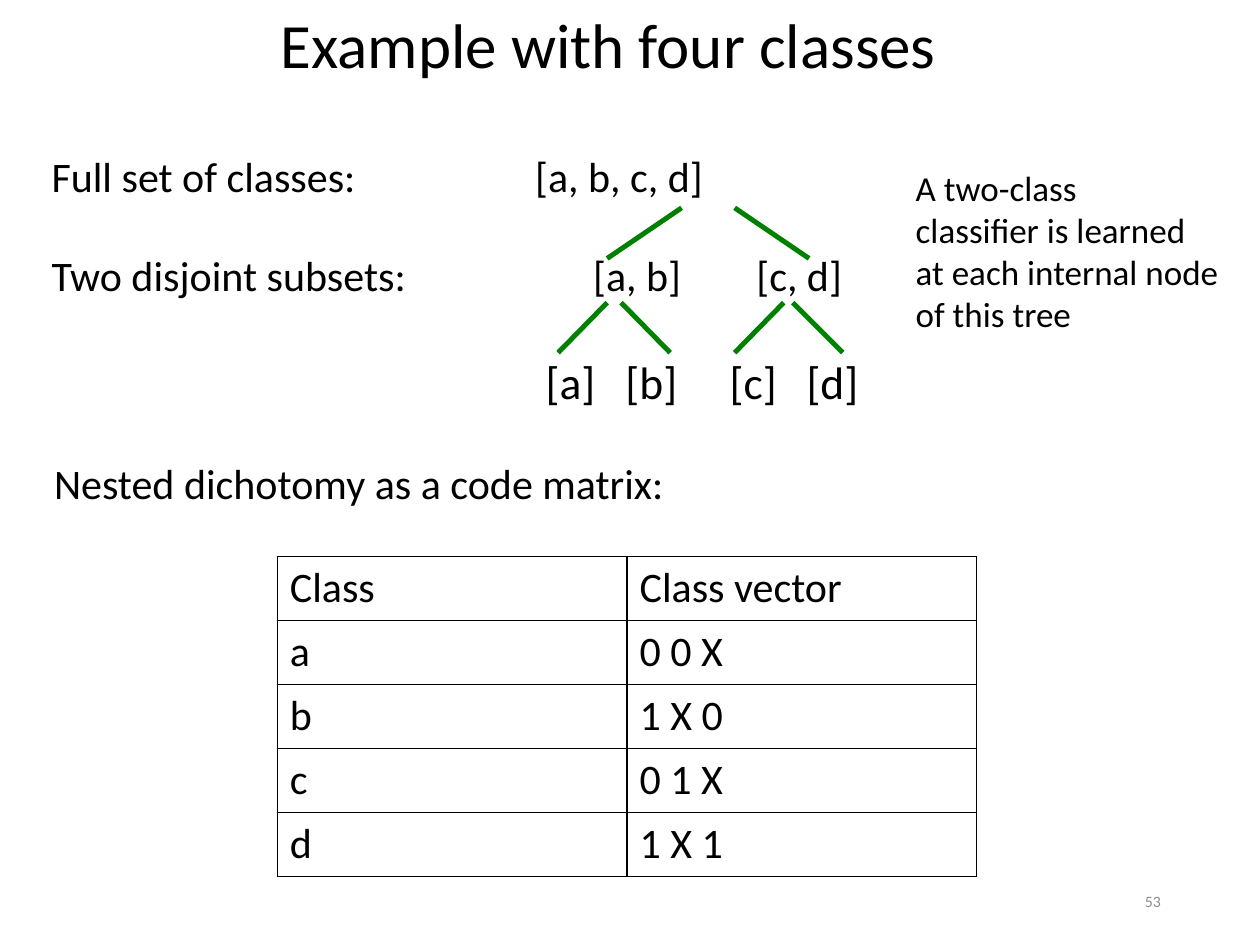
from lxml.etree import SubElement
from pptx import Presentation
from pptx.dml.color import RGBColor
from pptx.enum.shapes import MSO_CONNECTOR
from pptx.enum.text import MSO_ANCHOR, PP_ALIGN
from pptx.oxml.ns import qn
from pptx.util import Cm, Pt

COLORS = {"text": "000000", "branch": "008000", "number": "8C8C8C"}
FONT = "Calibri"


def format_text(text_frame, size, color="text", spacing=None, align=None):
    for paragraph in text_frame.paragraphs:
        paragraph.line_spacing = spacing
        paragraph.alignment = align
        for run in paragraph.runs:
            run.font.name = FONT
            run.font.size = Pt(size)
            run.font.color.rgb = RGBColor.from_string(COLORS[color])


def add_text(box, text, anchor=MSO_ANCHOR.TOP, wrap=True):
    """Add a text box at box (left, top, width, height in cm); return its frame."""
    text_frame = slide.shapes.add_textbox(*map(Cm, box)).text_frame
    text_frame.word_wrap = wrap
    text_frame.vertical_anchor = anchor
    text_frame.text = text
    return text_frame


presentation = Presentation()
presentation.slide_width = Cm(25.4)
presentation.slide_height = Cm(19.05)
slide = presentation.slides.add_slide(presentation.slide_layouts[6])

title = add_text((5.41, -0.61, 14.71, 3.18), "Example with four classes", MSO_ANCHOR.MIDDLE)
format_text(title, 36, spacing=0.9)

# Text rows: box, text, size, tab stops of the tree nodes (cm from the text edge)
rows = [
    ((0.79, 3.02, 17.73, 2.01), "Full set of classes:\t[a, b, c, d]", 24, [9.75]),
    ((0.79, 5.03, 22, 2.01), "Two disjoint subsets:\t[a, b]\t[c, d]", 24, [10.92, 14.21]),
    ((3.33, 7.14, 16.36, 2.01), "\t[a]\t[b]\t[c]\t[d]", 26, [7.42, 9.03, 11.13, 12.68]),
    ((0.84, 9.22, 22, 2.01), "Nested dichotomy as a code matrix:", 24, []),
]
for box, text, size, stops in rows:
    text_frame = add_text(box, text)
    format_text(text_frame, size, spacing=0.9)
    if stops:
        properties = text_frame.paragraphs[0]._p.get_or_add_pPr()
        tab_list = SubElement(properties, qn("a:tabLst"))
        for stop in stops:
            SubElement(tab_list, qn("a:tab"), pos=str(Cm(stop)), algn="l")

# Branches of each tree level: top, bottom, (start x, end x) pairs
levels = [
    (4.19, 5.21, [(13.74, 12.24), (14.81, 16.31)]),
    (6.1, 7.11, [(12.24, 11.25), (12.52, 13.51), (15.8, 14.81), (15.98, 16.99)]),
]
for top, bottom, branches in levels:
    for start, end in branches:
        branch = slide.shapes.add_connector(
            MSO_CONNECTOR.STRAIGHT, Cm(start), Cm(top), Cm(end), Cm(bottom))
        branch.line.color.rgb = RGBColor.from_string(COLORS["branch"])
        branch.line.width = Pt(2.83)
        SubElement(branch._element.spPr, qn("a:effectLst"))

code_matrix = [
    ("Class", "Class vector"),
    ("a", "0 0 X"),
    ("b", "1 X 0"),
    ("c", "0 1 X"),
    ("d", "1 X 1"),
]
row_height = 1.29
table = slide.shapes.add_table(
    len(code_matrix), 2, Cm(5.59), Cm(11.22), Cm(14.1), Cm(row_height * len(code_matrix))).table
table.first_row = False
table.horz_banding = False
for row, values in zip(table.rows, code_matrix):
    row.height = Cm(row_height)
    for cell, value in zip(row.cells, values):
        cell.text = value
        format_text(cell.text_frame, 24)
        properties = cell._tc.get_or_add_tcPr()
        for side in ("lnL", "lnR", "lnT", "lnB"):
            border = SubElement(properties, qn(f"a:{side}"), w=str(Pt(1)))
            fill = SubElement(border, qn("a:solidFill"))
            SubElement(fill, qn("a:srgbClr"), val=COLORS["text"])
        cell.fill.background()

note = add_text(
    (18.21, 3.23, 6.68, 3.68),
    "A two-class\nclassifier is learned\nat each internal node\nof this tree", wrap=False)
format_text(note, 20)

slide_number = add_text((17.93, 17.65, 5.72, 1.02), "53", MSO_ANCHOR.MIDDLE)
format_text(slide_number, 9, "number", align=PP_ALIGN.RIGHT)

presentation.save("out.pptx")
